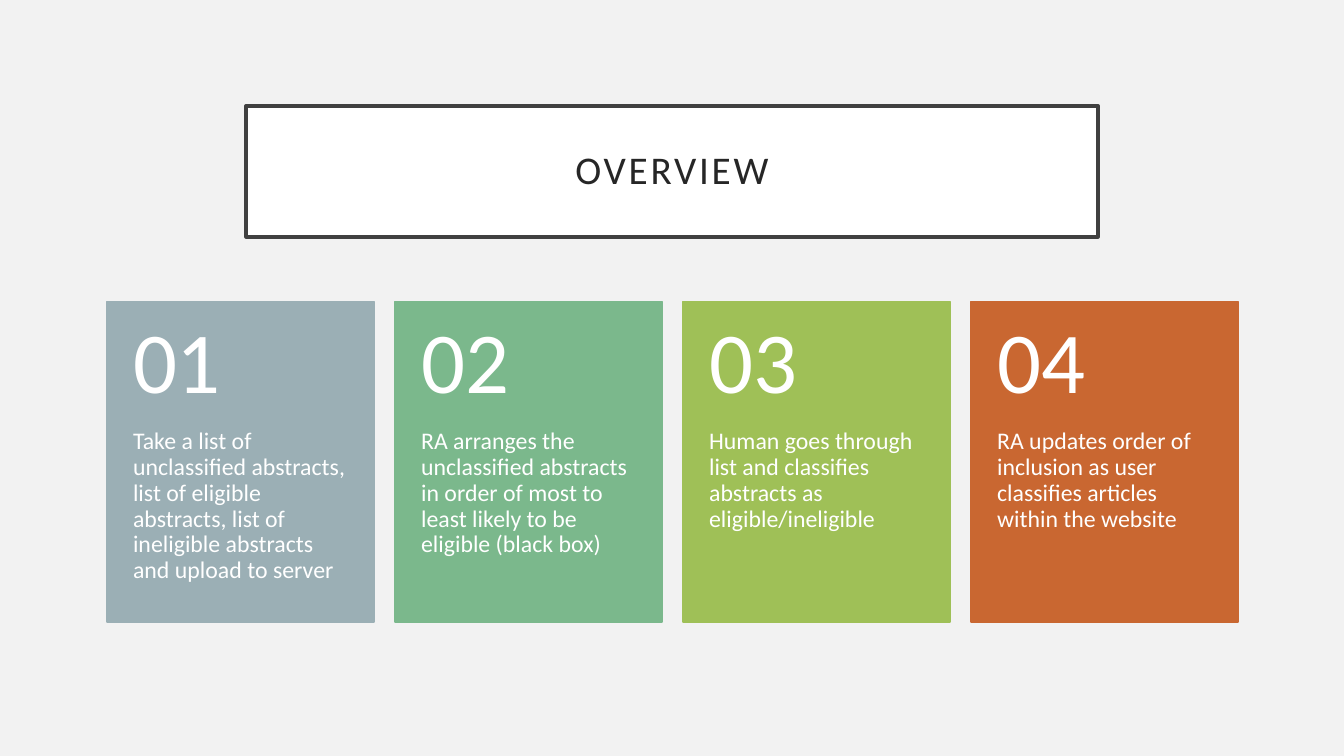
from dataclasses import dataclass

from pptx import Presentation
from pptx.dml.color import RGBColor
from pptx.enum.shapes import MSO_SHAPE
from pptx.enum.text import MSO_ANCHOR, PP_ALIGN
from pptx.util import Inches, Pt

RECT = MSO_SHAPE.RECTANGLE
TOP, MIDDLE = MSO_ANCHOR.TOP, MSO_ANCHOR.MIDDLE
LEFT, CENTER = PP_ALIGN.LEFT, PP_ALIGN.CENTER


@dataclass(frozen=True)
class Theme:
    """Colours, font and type sizes of the slide."""
    font: str = "Calibri"
    background: str = "F2F2F2"
    white: str = "FFFFFF"
    frame: str = "404040"
    title: str = "262626"
    cards: tuple = ("9BAFB5", "7BB88C", "9FC057", "C96731")
    title_size: int = 28
    number_size: int = 62
    body_size: int = 17


THEME = Theme()
STEPS = (
    "Take a list of unclassified abstracts, list of eligible abstracts, "
    "list of ineligible abstracts and upload to server",
    "RA arranges the unclassified abstracts in order of most to least likely "
    "to be eligible (black box)",
    "Human goes through list and classifies abstracts as eligible/ineligible",
    "RA updates order of inclusion as user classifies articles within the website",
)
ROW_LEFT, ROW_TOP, ROW_WIDTH = 1.06, 2.99, 11.22
CARD_WIDTH, CARD_HEIGHT, NUMBER_HEIGHT = 2.65, 3.18, 1.27
PITCH = (ROW_WIDTH - CARD_WIDTH) / (len(STEPS) - 1)


def add_box(s, box, fill, line, line_width):
    """Add a flat rectangle with a fill and an outline."""
    sp = s.shapes.add_shape(RECT, *map(Inches, box))
    sp.shadow.inherit = False
    sp.fill.solid()
    sp.fill.fore_color.rgb = RGBColor.from_string(fill)
    sp.line.color.rgb = RGBColor.from_string(line)
    sp.line.width = Pt(line_width)
    return sp


def set_text(sp, text, size, color, insets, anchor=TOP, align=LEFT):
    """Write one formatted paragraph into a shape and return its run."""
    tf = sp.text_frame
    tf.word_wrap = True
    tf.vertical_anchor = anchor
    tf.margin_left, tf.margin_top, tf.margin_right, tf.margin_bottom = map(Inches, insets)
    tf.text = text
    p = tf.paragraphs[0]
    p.alignment = align
    p.line_spacing = 0.9
    r = p.runs[0]
    r.font.name = THEME.font
    r.font.size = Pt(size)
    r.font.color.rgb = RGBColor.from_string(color)
    return r


def add_title(s, text):
    """Add the framed title with widely spaced letters."""
    sp = add_box(s, (2.44, 1.05, 8.45, 1.3), THEME.white, THEME.frame, 2.5)
    r = set_text(sp, text, THEME.title_size, THEME.title, (0.2,) * 4, MIDDLE, CENTER)
    r.font._element.set("spc", "200")


def add_card(s, index, text, color):
    """Add a coloured card with its number above its description."""
    left = ROW_LEFT + index * PITCH
    add_box(s, (left, ROW_TOP, CARD_WIDTH, CARD_HEIGHT), color, color, 1)
    body = s.shapes.add_textbox(*map(Inches, (
        left, ROW_TOP + NUMBER_HEIGHT, CARD_WIDTH, CARD_HEIGHT - NUMBER_HEIGHT)))
    set_text(body, text, THEME.body_size, THEME.white, (0.26, 0, 0.26, 0.36))
    number = s.shapes.add_textbox(*map(Inches, (left, ROW_TOP, CARD_WIDTH, NUMBER_HEIGHT)))
    set_text(number, f"{index + 1:02d}", THEME.number_size, THEME.white,
             (0.26, 0.18, 0.26, 0.18), MIDDLE)


def main():
    """Build the overview slide and save it."""
    prs = Presentation()
    prs.slide_width, prs.slide_height = Inches(13.33), Inches(7.5)
    s = prs.slides.add_slide(prs.slide_layouts[6])
    s.background.fill.solid()
    s.background.fill.fore_color.rgb = RGBColor.from_string(THEME.background)
    add_title(s, "OVERVIEW")
    for index, (text, color) in enumerate(zip(STEPS, THEME.cards)):
        add_card(s, index, text, color)
    prs.save("out.pptx")


if __name__ == "__main__":
    main()
